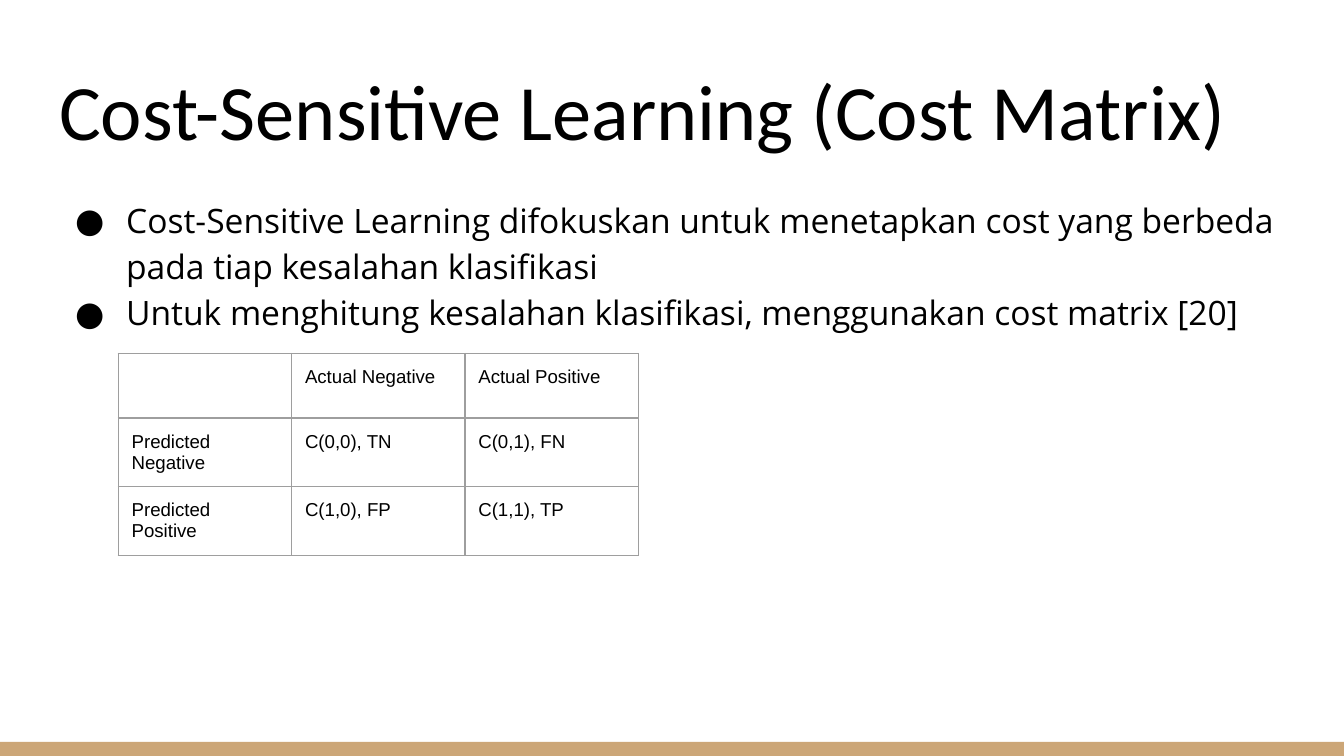
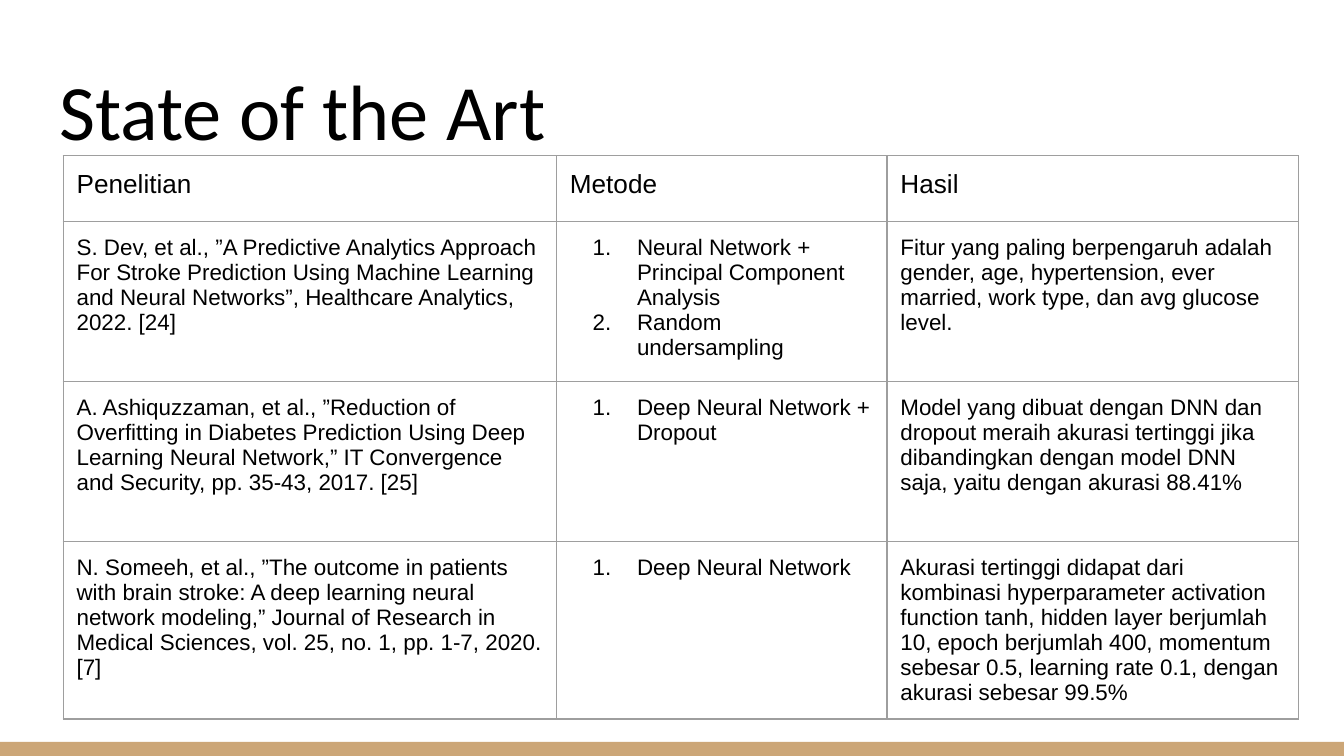
from dataclasses import dataclass

from lxml import etree
from pptx import Presentation
from pptx import util as u
from pptx.dml import color
from pptx.enum import shapes, text
from pptx.oxml import ns

# Shared look
COLOURS = {"page": "FFFFFF", "ink": "000000", "band": "CCA677", "grid": "9E9E9E"}
PAGE_WIDTH = 10
PAGE_HEIGHT = PAGE_WIDTH * 9 / 16
MARGIN = 0.34
TEXT_WIDTH = 9.32
INSET = u.Inches(0.1)
GRID_WIDTH = u.Pt(0.75)
FRAME_FORMAT = {
    "margin_left": INSET, "margin_top": INSET,
    "margin_right": INSET, "margin_bottom": INSET,
    "word_wrap": True, "auto_size": text.MSO_AUTO_SIZE.NONE,
}
CELL_FORMAT = {key: INSET for key in FRAME_FORMAT if key.startswith("margin")}
TITLE_FONT = {"name": "Calibri", "size": u.Pt(42), "bold": False}
BODY_FONT = {"name": "Open Sans", "size": u.Pt(18)}
TABLE_FONT = "Arial"


@dataclass
class ListStyle:
    tag: str
    values: dict[str, str]
    font: str
    left: float
    hanging: float


@dataclass
class Grid:
    left: float
    top: float
    columns: list[float]
    rows: list[float]
    cells: list[list[str | list[str]]]  # a list inside a cell is numbered
    head_size: int
    size: int


BULLETS = ListStyle("a:buChar", {"char": "●"}, BODY_FONT["name"], 0.5, 0.38)
NUMBERS = ListStyle("a:buAutoNum", {"type": "arabicPeriod"}, TABLE_FONT, 0.5, 0.33)

# Content
COST_POINTS = [
    "Cost-Sensitive Learning difokuskan untuk menetapkan cost yang berbeda "
    "pada tiap kesalahan klasifikasi",
    "Untuk menghitung kesalahan klasifikasi, menggunakan cost matrix [20]",
]
COST_MATRIX = Grid(
    0.88, 2.63, [1.29] * 3, [0.48, 0.51, 0.51],
    [
        ["", "Actual Negative", "Actual Positive"],
        ["Predicted Negative", "C(0,0), TN", "C(0,1), FN"],
        ["Predicted Positive", "C(1,0), FP", "C(1,1), TP"],
    ],
    head_size=10, size=10,
)
STUDIES = Grid(
    0.47, 1.16, [3.67, 2.46, 3.06], [0.49, 1.19, 1.19, 1.31],
    [
        ["Penelitian", "Metode", "Hasil"],
        [
            "S. Dev, et al., ”A Predictive Analytics Approach For Stroke Prediction "
            "Using Machine Learning and Neural Networks”, Healthcare Analytics, "
            "2022. [24]",
            ["Neural Network + Principal Component Analysis", "Random undersampling"],
            "Fitur yang paling berpengaruh adalah gender, age, hypertension, ever "
            "married, work type, dan avg glucose level.",
        ],
        [
            "A. Ashiquzzaman, et al., ”Reduction of Overfitting in Diabetes "
            "Prediction Using Deep Learning Neural Network,” IT Convergence and "
            "Security, pp. 35-43, 2017. [25]",
            ["Deep Neural Network + Dropout"],
            "Model yang dibuat dengan DNN dan dropout meraih akurasi tertinggi jika "
            "dibandingkan dengan model DNN saja, yaitu dengan akurasi 88.41%",
        ],
        [
            "N. Someeh, et al., ”The outcome in patients with brain stroke: A deep "
            "learning neural network modeling,” Journal of Research in Medical "
            "Sciences, vol. 25, no. 1, pp. 1-7, 2020. [7]",
            ["Deep Neural Network"],
            "Akurasi tertinggi didapat dari kombinasi hyperparameter activation "
            "function tanh, hidden layer berjumlah 10, epoch berjumlah 400, momentum "
            "sebesar 0.5, learning rate 0.1, dengan akurasi sebesar 99.5%",
        ],
    ],
    head_size=14, size=12,
)


def rgb(name: str) -> color.RGBColor:
    return color.RGBColor.from_string(COLOURS[name])


def apply(target, values: dict) -> None:
    for key, value in values.items():
        setattr(target, key, value)


def child(parent, tag: str, **values: str):
    return etree.SubElement(parent, ns.qn(tag), values)


def place(box, left: float, top: float, width: float, height: float) -> None:
    sides = zip(("left", "top", "width", "height"), (left, top, width, height))
    apply(box, {side: u.Inches(length) for side, length in sides})


def add_list_marks(para, style: ListStyle) -> None:
    marks = para._p.get_or_add_pPr()
    marks.set("marL", str(u.Inches(style.left)))
    marks.set("indent", str(-u.Inches(style.hanging)))
    child(child(marks, "a:buClr"), "a:srgbClr", val=COLOURS["ink"])
    child(marks, "a:buFont", typeface=style.font)
    child(marks, style.tag, **style.values)


def write(frame, lines: list[str], font: dict, style: ListStyle | None = None,
          line_spacing: float | None = None) -> None:
    for index, line in enumerate(lines):
        para = frame.add_paragraph() if index else frame.paragraphs[0]
        if style:
            add_list_marks(para, style)
        apply(para, {"alignment": text.PP_ALIGN.LEFT, "line_spacing": line_spacing})
        span = para.add_run()
        span.text = line
        apply(span.font, font)
        span.font.color.rgb = rgb("ink")


def add_band(layout, page) -> None:
    """Draw the bottom band and hand it to the layout, which every page shares."""
    band = page.shapes.add_shape(
        shapes.MSO_SHAPE.RECTANGLE, 0, u.Inches(5.52), u.Inches(PAGE_WIDTH), u.Inches(0.11))
    band.shadow.inherit = False
    band.fill.solid()
    band.fill.fore_color.rgb = rgb("band")
    band.line.fill.background()
    layout.shapes.element.append(band.element)


def add_page(deck, layout, heading: str):
    page = deck.slides.add_slide(layout)
    title = page.shapes.title
    place(title, MARGIN, 0.35, TEXT_WIDTH, 0.91)
    apply(title.text_frame, FRAME_FORMAT)
    title.text_frame.vertical_anchor = text.MSO_ANCHOR.BOTTOM
    write(title.text_frame, [heading], TITLE_FONT)
    return page


def add_points(page, lines: list[str]) -> None:
    box = page.shapes.add_textbox(0, 0, 0, 0)
    place(box, MARGIN, 1.34, TEXT_WIDTH, 1.2)
    apply(box.text_frame, FRAME_FORMAT)
    write(box.text_frame, lines, BODY_FONT, BULLETS, 1.15)


def outline(cell) -> None:
    borders = cell._tc.get_or_add_tcPr()
    for side in ("a:lnL", "a:lnR", "a:lnT", "a:lnB"):
        line = child(borders, side, w=str(GRID_WIDTH))
        child(child(line, "a:solidFill"), "a:srgbClr", val=COLOURS["grid"])


def add_grid(page, grid: Grid) -> None:
    table = page.shapes.add_table(
        len(grid.rows), len(grid.columns), u.Inches(grid.left), u.Inches(grid.top),
        u.Inches(sum(grid.columns)), u.Inches(sum(grid.rows))).table
    apply(table, {"first_row": False, "horz_banding": False})
    for column, width in zip(table.columns, grid.columns):
        column.width = u.Inches(width)
    for row, height in zip(table.rows, grid.rows):
        row.height = u.Inches(height)
    for row_index, contents in enumerate(grid.cells):
        size = u.Pt(grid.size if row_index else grid.head_size)
        for column_index, content in enumerate(contents):
            cell = table.cell(row_index, column_index)
            apply(cell, CELL_FORMAT)
            outline(cell)
            cell.fill.background()
            numbered = isinstance(content, list)
            lines = content if numbered else [content]
            if content:
                write(cell.text_frame, lines, {"name": TABLE_FONT, "size": size},
                      NUMBERS if numbered else None)
            else:  # keeps the row from growing past its height
                mark = child(cell.text_frame.paragraphs[0]._p, "a:endParaRPr",
                             sz=str(size.centipoints))
                child(mark, "a:latin", typeface=TABLE_FONT)


def main() -> None:
    deck = Presentation()
    deck.slide_width = u.Inches(PAGE_WIDTH)
    deck.slide_height = u.Inches(PAGE_HEIGHT)
    layout = deck.slide_layouts.get_by_name("Title Only")
    layout.background.fill.solid()
    layout.background.fill.fore_color.rgb = rgb("page")

    # Cost matrix
    page = add_page(deck, layout, "Cost-Sensitive Learning (Cost Matrix)")
    add_band(layout, page)
    add_points(page, COST_POINTS)
    add_grid(page, COST_MATRIX)

    # Earlier studies
    page = add_page(deck, layout, "State of the Art")
    add_grid(page, STUDIES)

    deck.save("out.pptx")


if __name__ == "__main__":
    main()
